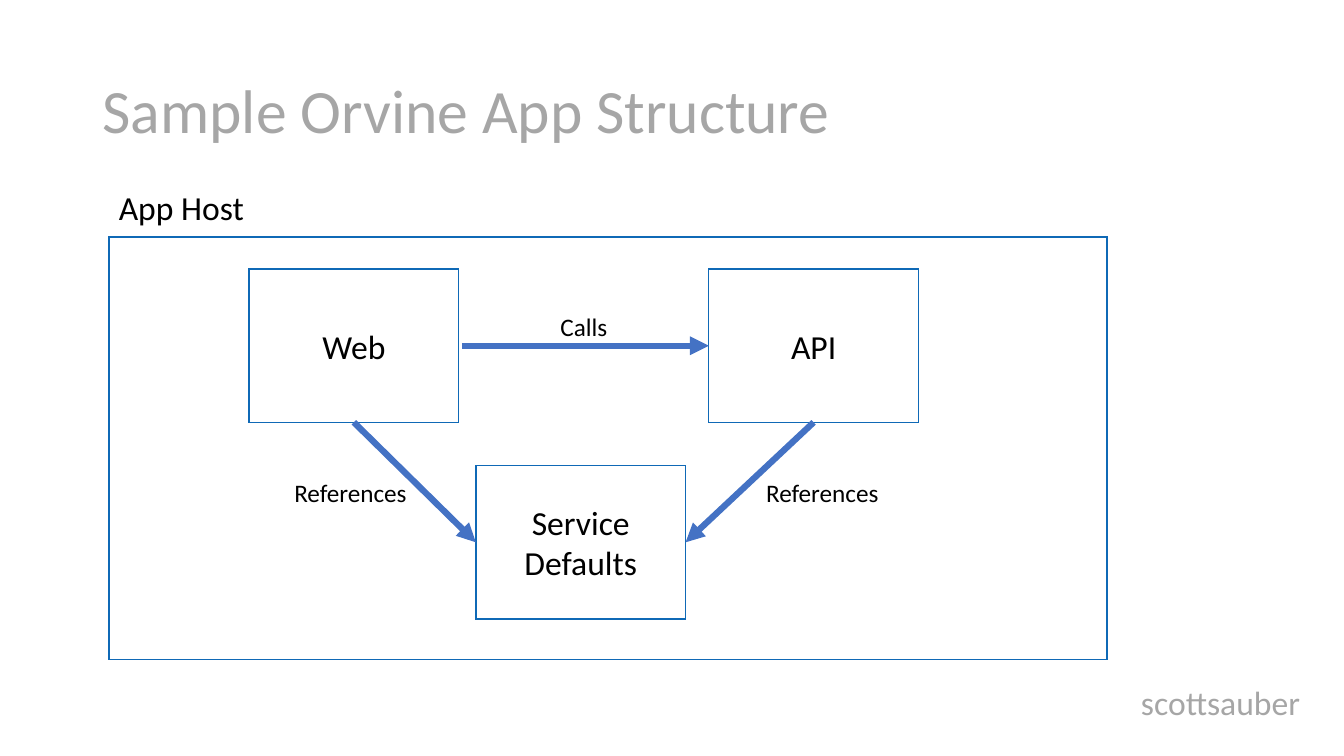
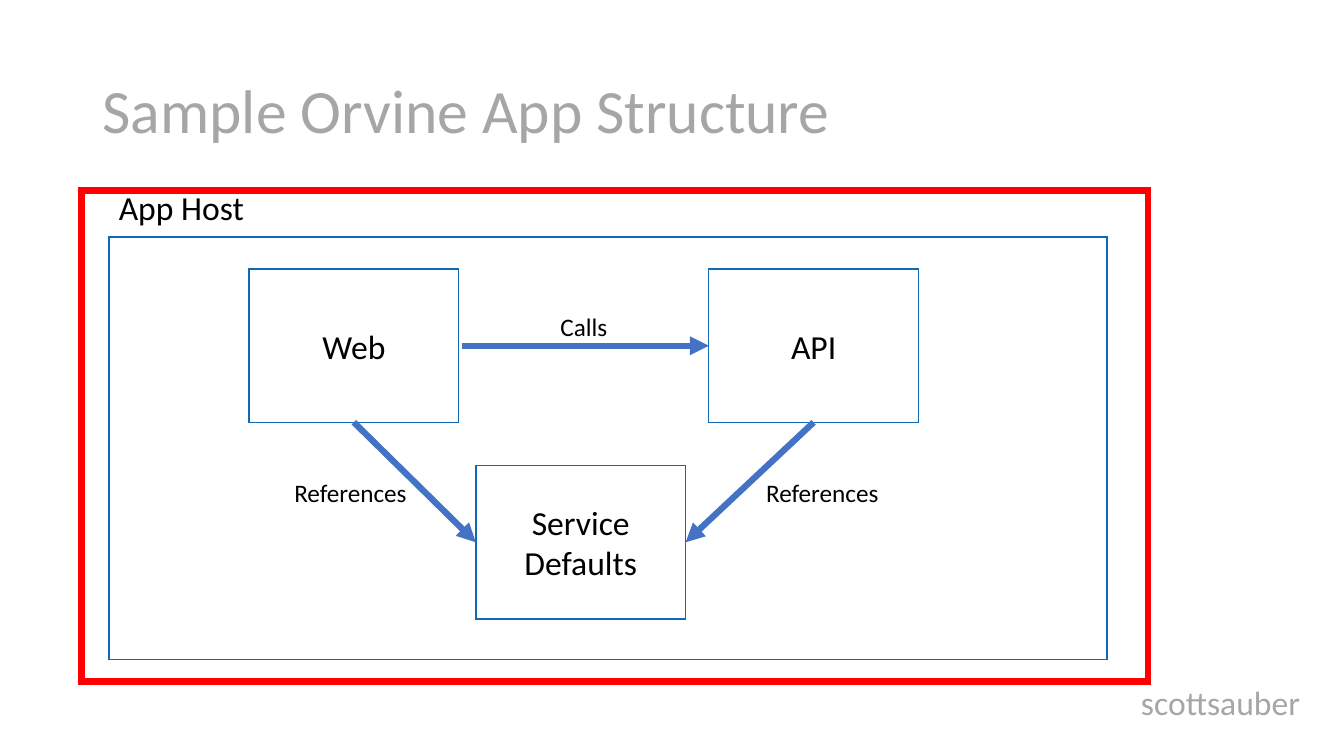
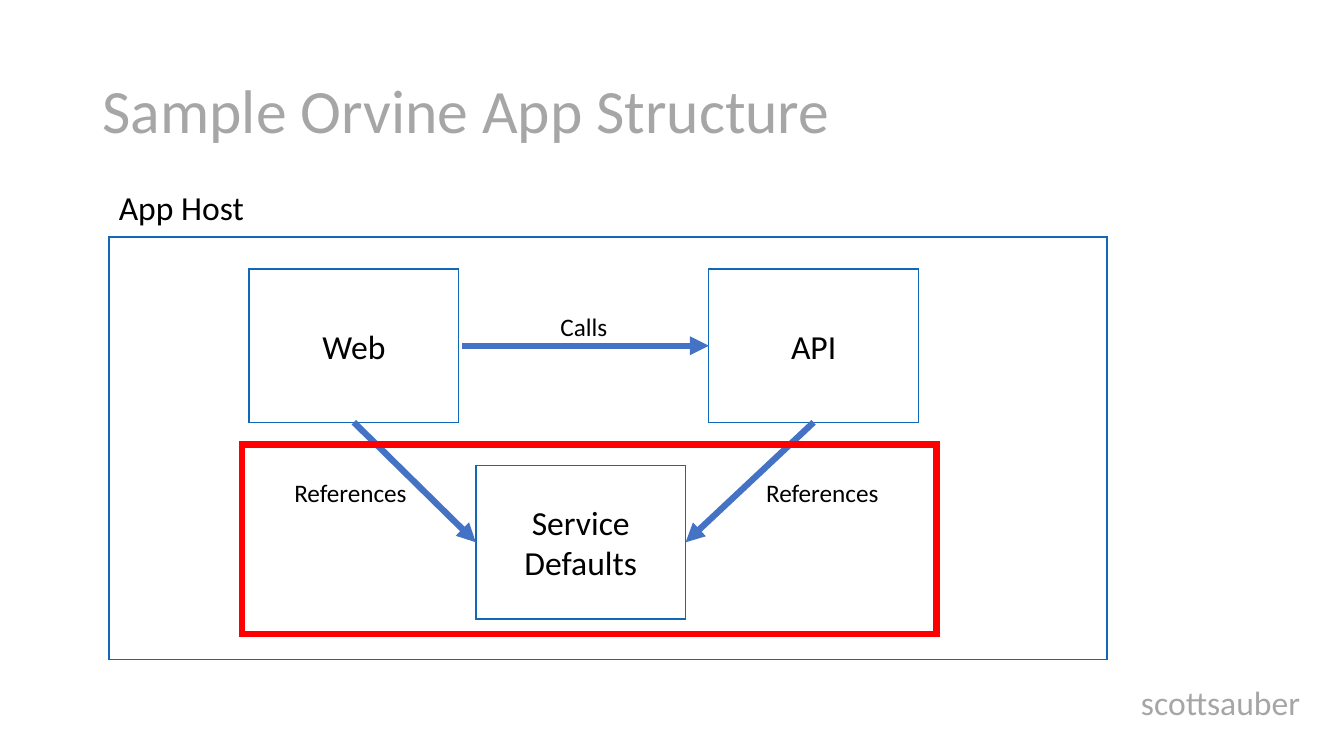
import pptx
import pptx.util
import pptx.dml.color
import pptx.enum.shapes
import pptx.enum.text
import pptx.oxml.ns
from lxml import etree

Inches = pptx.util.Inches
Pt = pptx.util.Pt
qn = pptx.oxml.ns.qn
ALIGN = pptx.enum.text.PP_ALIGN
ANCHOR = pptx.enum.text.MSO_ANCHOR
AUTO_SIZE = pptx.enum.text.MSO_AUTO_SIZE

FONT = "Calibri"
GREY, BLACK, WHITE = "A6A6A6", "000000", "FFFFFF"
BORDER, ARROW, HIGHLIGHT = "0F69B6", "4472C4", "FF0000"
HOST = (1.08, 2.35, 9.9, 4.19)
NODE_W, NODE_H = 2.08, 1.52
TOP, LEFT, BOTTOM, RIGHT = range(4)


def rgb(value):
    return pptx.dml.color.RGBColor.from_string(value)


def write(sp, text, size, color, align=ALIGN.LEFT, anchor=ANCHOR.TOP):
    tf = sp.text_frame
    tf.word_wrap = True
    tf.vertical_anchor = anchor
    tf.text = text
    for p in tf.paragraphs:
        p.alignment = align
        p.font.name = FONT
        p.font.size = Pt(size)
        p.font.color.rgb = rgb(color)
    return tf


def add_text(slide, box, text, size, color, **layout):
    sp = slide.shapes.add_textbox(*map(Inches, box))
    return write(sp, text, size, color, **layout)


def add_label(slide, box, text, size):
    tf = add_text(slide, box, text, size, BLACK)
    tf.auto_size = AUTO_SIZE.SHAPE_TO_FIT_TEXT


def add_rect(slide, box, line, width, fill=None):
    sp = slide.shapes.add_shape(
        pptx.enum.shapes.MSO_SHAPE.RECTANGLE, *map(Inches, box))
    sp.shadow.inherit = False
    if fill:
        sp.fill.solid()
        sp.fill.fore_color.rgb = rgb(fill)
    else:
        sp.fill.background()
    sp.line.color.rgb = rgb(line)
    sp.line.width = Pt(width)
    etree.SubElement(sp.line._get_or_add_ln(), qn("a:miter"), lim="800000")
    return sp


def add_node(slide, x, y, text):
    sp = add_rect(slide, (x, y, NODE_W, NODE_H), BORDER, 1, WHITE)
    write(sp, text, 24, BLACK, ALIGN.CENTER, ANCHOR.MIDDLE)
    return sp


def add_arrow(slide, source, source_side, target, target_side, gap=0):
    cxn = slide.shapes.add_connector(
        pptx.enum.shapes.MSO_CONNECTOR.STRAIGHT, 0, 0, 0, 0)
    if gap:
        cxn.begin_x = source.left + source.width + Inches(gap)
        cxn.begin_y = source.top + source.height // 2
    else:
        cxn.begin_connect(source, source_side)
    cxn.end_connect(target, target_side)
    cxn.line.color.rgb = rgb(ARROW)
    cxn.line.width = Pt(4.5)
    etree.SubElement(cxn.line._get_or_add_ln(), qn("a:tailEnd"), type="triangle")
    etree.SubElement(cxn._element.spPr, qn("a:effectLst"))


def add_frame(slide):
    title = add_text(slide, (0.92, 0.4, 11.5, 1.45), "Sample Orvine App Structure",
                     44, GREY, anchor=ANCHOR.MIDDLE)
    footer = add_text(slide, (10.98, 6.76, 2.25, 0.52), "scottsauber",
                      24, GREY, align=ALIGN.CENTER)
    footer.paragraphs[0].space_before = Pt(10)
    for tf in (title, footer):
        tf.paragraphs[0].line_spacing = 0.9


def add_app_host(slide, box):
    x, y, w, h = box
    add_rect(slide, box, BORDER, 1, WHITE)
    add_label(slide, (x, y - 0.54, 2.43, 0.5), "App Host", 24)

    web = add_node(slide, x + 1.39, y + 0.32, "Web")
    api = add_node(slide, x + 5.95, y + 0.32, "API")
    defaults = add_node(slide, x + 3.64, y + 2.27, "Service\nDefaults")

    add_arrow(slide, web, RIGHT, api, LEFT, gap=0.03)
    add_arrow(slide, web, BOTTOM, defaults, LEFT)
    add_arrow(slide, api, BOTTOM, defaults, RIGHT)

    add_label(slide, (x + 4.38, y + 0.69, 0.8, 0.4), "Calls", 18)
    for dx in (1.74, 6.42):
        add_label(slide, (x + dx, y + 2.34, 1.38, 0.4), "References", 18)


def add_structure_slide(prs, highlight=None):
    slide = prs.slides.add_slide(prs.slide_layouts[6])
    add_frame(slide)
    add_app_host(slide, HOST)
    if highlight:
        add_rect(slide, highlight, HIGHLIGHT, 4.5)


def main():
    prs = pptx.Presentation()
    prs.slide_width = Inches(13.33)
    prs.slide_height = Inches(7.5)
    for highlight in (None, (0.81, 1.89, 10.58, 4.87), (2.4, 4.41, 6.89, 1.88)):
        add_structure_slide(prs, highlight)
    prs.save("out.pptx")


if __name__ == "__main__":
    main()
